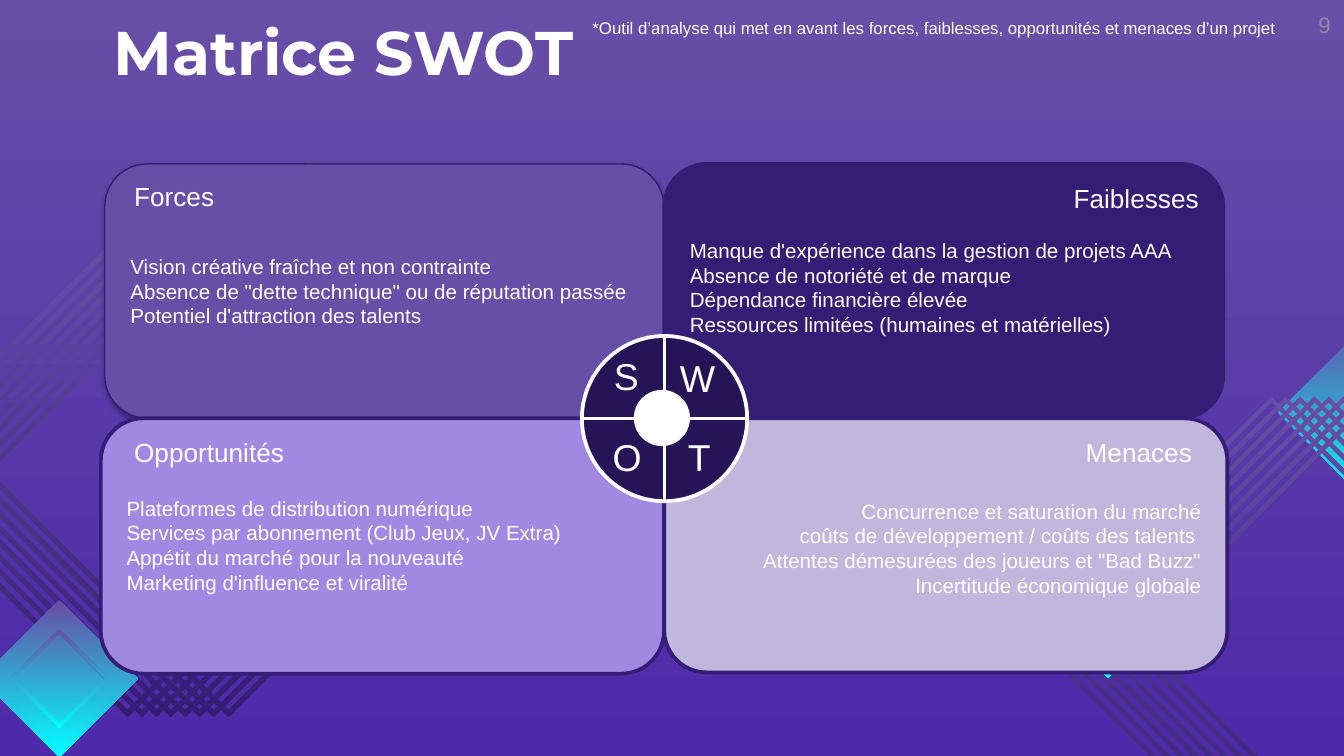
from dataclasses import dataclass

from lxml.etree import SubElement
from pptx import Presentation
from pptx.dml.color import RGBColor as Rgb
from pptx.enum.shapes import MSO_CONNECTOR as Connector, MSO_SHAPE as Preset
from pptx.enum.text import MSO_ANCHOR as Anchor, PP_ALIGN as Align
from pptx.oxml.ns import qn
from pptx.util import Inches, Pt


@dataclass(frozen=True)
class Theme:
    body_font: str = "Arial"
    title_font: str = "Montserrat"
    white: str = "FFFFFF"
    muted: str = "908DA6"
    violet: str = "674EA7"
    indigo: str = "351C75"
    base: str = "4E29AA"
    cyan: str = "00FFFF"
    lavender: str = "A288E2"
    mist: str = "C1B6DC"
    hub: str = "271457"
    title: int = 33
    letter: int = 20
    heading: int = 14
    number: int = 12
    body: int = 11
    note: int = 9


THEME = Theme()
COLUMNS, ROWS = 100, 56.25
MIDDLE_COLUMN, MIDDLE_ROW = 49.42, 31.13

FORCES = ["Vision créative fraîche et non contrainte",
          "Absence de \"dette technique\" ou de réputation passée",
          "Potentiel d'attraction des talents"]
FAIBLESSES = ["Manque d'expérience dans la gestion de projets AAA",
              "Absence de notoriété et de marque",
              "Dépendance financière élevée",
              "Ressources limitées (humaines et matérielles)"]
OPPORTUNITES = ["Plateformes de distribution numérique",
                "Services par abonnement (Club Jeux, JV Extra)",
                "Appétit du marché pour la nouveauté",
                "Marketing d'influence et viralité"]
MENACES = ["Concurrence et saturation du marché",
           "coûts de développement / coûts des talents ",
           "Attentes démesurées des joueurs et \"Bad Buzz\"",
           "Incertitude économique globale"]


def grid(cells):
    return Inches(cells / 10)


def place(box):
    return [grid(cells) for cells in box]


def paint_gradient(fill, top, bottom):
    fill.gradient()
    fill.gradient_angle = 270
    for stop, color in zip(fill.gradient_stops, (top, bottom)):
        stop.color.rgb = Rgb.from_string(color)


def paint_solid(shape, color, outline, width):
    shape.shadow.inherit = False
    shape.fill.solid()
    shape.fill.fore_color.rgb = Rgb.from_string(color)
    shape.line.color.rgb = Rgb.from_string(outline)
    shape.line.width = Pt(width)


def write(frame, lines, size, align=Align.LEFT, anchor=Anchor.TOP,
          color=THEME.white, font=THEME.body_font, bold=False):
    frame.word_wrap = True
    frame.vertical_anchor = anchor
    for index, line in enumerate(lines):
        paragraph = frame.add_paragraph() if index else frame.paragraphs[0]
        paragraph.alignment = align
        run = paragraph.add_run()
        run.text = line
        run.font.size = Pt(size)
        run.font.name = font
        run.font.bold = bold
        run.font.color.rgb = Rgb.from_string(color)


def add_label(slide, box, text, size, **style):
    label = slide.shapes.add_textbox(*place(box))
    write(label.text_frame, [text], size, **style)
    return label


def add_diamond(slide, x, y, radius, bottom, hole=0):
    outer = [(x, y - radius), (x + radius, y), (x, y + radius), (x - radius, y)]
    inner = [(x, y - hole), (x - hole, y), (x, y + hole), (x + hole, y)]
    contours = [outer, inner] if hole else [outer]
    builder = slide.shapes.build_freeform(*place(outer[0]))
    for contour in contours:
        corners = [place(corner) for corner in contour]
        builder.move_to(*corners[0])
        builder.add_line_segments(corners[1:], close=True)
    diamond = builder.convert_to_shape()
    diamond.shadow.inherit = False
    diamond.line.fill.background()
    paint_gradient(diamond.fill, THEME.violet, bottom)


def add_ring_band(slide, x, y, radius, hole):
    for index in range(8):
        add_diamond(slide, x + 1.07 * index, y, radius, THEME.indigo, hole)


def add_backdrop(slide):
    paint_gradient(slide.background.fill, THEME.violet, THEME.base)
    add_ring_band(slide, 9.5, 35.1, 18.25, 17.75)
    for radius, hole in ((5.65, 0), (5.85, 5.45), (3.7, 3.35)):
        add_diamond(slide, 4.43, 50.5, radius, THEME.cyan, hole)
    add_diamond(slide, 82.4, 47.4, 3.1, THEME.cyan)
    add_diamond(slide, 102, 30.7, 6.9, THEME.cyan)
    add_ring_band(slide, 94.6, 47.4, 17.9, 17.45)


def add_panel(slide, box, lines, color, outline=2, align=Align.LEFT, nudge=0):
    panel = slide.shapes.add_shape(Preset.ROUNDED_RECTANGLE, *place(box))
    panel.adjustments[0] = 0.167
    paint_solid(panel, color, THEME.indigo, outline)
    panel.text_frame.margin_top = grid(0.5 + nudge)
    panel.text_frame.margin_bottom = grid(0.5 - nudge)
    write(panel.text_frame, lines, THEME.body, align, Anchor.MIDDLE)
    return panel


def cast_shadow(panel):
    effects = panel._element.spPr.find(qn("a:effectLst"))
    shadow = SubElement(effects, qn("a:outerShdw"), blurRad=str(Pt(3.1)),
                        dist=str(Pt(1.8)), dir="5400000", rotWithShape="0")
    black = SubElement(shadow, qn("a:srgbClr"), val="000000")
    SubElement(black, qn("a:alpha"), val="35000")


def add_disc(slide, x, y, diameter, color):
    disc = slide.shapes.add_shape(Preset.OVAL, *place((x, y, diameter, diameter)))
    paint_solid(disc, color, THEME.white, 2)


def add_divider(slide, start, end):
    divider = slide.shapes.add_connector(Connector.STRAIGHT, *place(start + end))
    divider.line.color.rgb = Rgb.from_string(THEME.white)
    divider.line.width = Pt(1.5)
    SubElement(divider._element.spPr, qn("a:effectLst"))


def add_hub(slide):
    left, top, diameter = 43.3, 25, 12.3
    add_disc(slide, left, top, diameter, THEME.hub)
    add_disc(slide, 47.3, 29.15, 3.9, THEME.white)
    for letter, x, y in (("S", 44.7, 25.75), ("W", 49.6, 25.95),
                         ("O", 44.6, 31.8), ("T", 50.2, 31.8)):
        add_label(slide, (x, y, 5.7, 4.4), letter, THEME.letter)
    add_divider(slide, (left, MIDDLE_ROW), (left + diameter, MIDDLE_ROW))
    add_divider(slide, (MIDDLE_COLUMN, top + diameter), (MIDDLE_COLUMN, top))


def add_title(slide):
    title = slide.shapes.title
    title.left, title.top, title.width, title.height = place((7.45, 0, 84.4, 6.3))
    title.text_frame.margin_top = title.text_frame.margin_bottom = grid(1)
    write(title.text_frame, ["Matrice SWOT"], THEME.title,
          font=THEME.title_font, bold=True)


def main():
    deck = Presentation()
    deck.slide_width, deck.slide_height = grid(COLUMNS), grid(ROWS)
    slide = deck.slides.add_slide(deck.slide_layouts[5])
    add_backdrop(slide)
    add_title(slide)

    forces = add_panel(slide, (7.8, 12.2, 41.6, 18.9), FORCES, THEME.violet, 0.75)
    cast_shadow(forces)
    add_panel(slide, (MIDDLE_COLUMN, 12.2, 41.6, 18.9), FAIBLESSES,
              THEME.indigo, nudge=-0.27)
    add_panel(slide, (7.5, MIDDLE_ROW, 41.9, 19), OPPORTUNITES,
              THEME.lavender, nudge=-0.08)
    add_panel(slide, (MIDDLE_COLUMN, MIDDLE_ROW, 41.9, 18.9), MENACES,
              THEME.mist, align=Align.RIGHT, nudge=0.2)
    add_hub(slide)

    for heading, x, y in (("Faiblesses", 78.9, 13.1), ("Forces", 9, 12.9),
                          ("Menaces", 79.8, 32), ("Opportunités", 9, 32)):
        add_label(slide, (x, y, 13.3, 5.7), heading, THEME.heading)
    add_label(slide, (77.5, 0.3, 22.5, 3), "9", THEME.number, align=Align.RIGHT,
              anchor=Anchor.MIDDLE, color=THEME.muted)
    note = add_label(slide, (43.1, 0, 54.4, 4.1),
                     "*Outil d’analyse qui met en avant les forces, faiblesses, "
                     "opportunités et menaces d’un projet", THEME.note)
    note.text_frame.margin_top = grid(1.28)
    deck.save("out.pptx")


if __name__ == "__main__":
    main()
